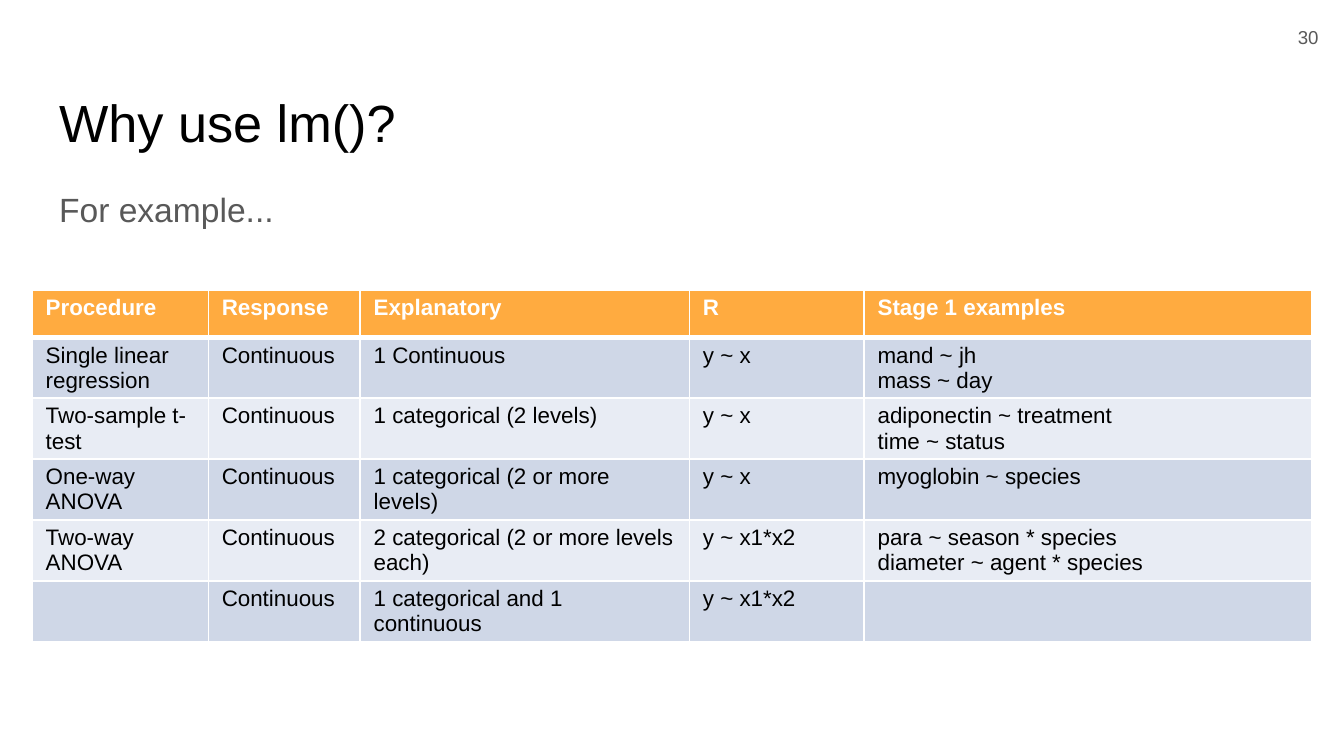
from pptx import Presentation, util as u
from pptx.dml.color import RGBColor
from pptx.enum import text
from pptx.oxml import parse_xml
from pptx.oxml.ns import nsdecls

BLACK = RGBColor(0x00, 0x00, 0x00)
WHITE = RGBColor(0xFF, 0xFF, 0xFF)
GRAY = RGBColor(0x59, 0x59, 0x59)
GOLD = RGBColor(0xFF, 0xAB, 0x40)
BLUE = RGBColor(0xCF, 0xD7, 0xE7)
PALE = RGBColor(0xE8, 0xEC, 0xF4)

WIDE = u.Inches(10)
HIGH = WIDE * 9 // 16
WIDTHS = [1.31, 1.13, 2.45, 1.3, 3.33]
HIGHS = [0.35] * 2 + [0.41] * 4
ROWS = [
    ["Procedure", "Response", "Explanatory", "R", "Stage 1 examples"],
    ["Single linear regression", "Continuous", "1 Continuous", "y ~ x",
     "mand ~ jh\nmass ~ day"],
    ["Two-sample t-test", "Continuous", "1 categorical (2 levels)", "y ~ x",
     "adiponectin ~ treatment\ntime ~ status"],
    ["One-way ANOVA", "Continuous", "1 categorical (2 or more levels)",
     "y ~ x", "myoglobin ~ species"],
    ["Two-way ANOVA", "Continuous", "2 categorical (2 or more levels each)",
     "y ~ x1*x2", "para ~ season * species\ndiameter ~ agent * species"],
    ["", "Continuous", "1 categorical and 1 continuous", "y ~ x1*x2", ""],
]


def apply(item, form):
    for key, val in form.items():
        setattr(item, key, val)


def style(frame, size, color, bold=False, **form):
    for para in frame.paragraphs:
        apply(para, form)
        for run in para.runs:
            apply(run.font, {"name": "Arial", "size": u.Pt(size), "bold": bold})
            run.font.color.rgb = color


def place(shape, box, words, anchor=text.MSO_ANCHOR.TOP):
    sides = ("left", "top", "width", "height")
    apply(shape, {k: u.Inches(v) for k, v in zip(sides, box)})
    frame = shape.text_frame
    frame.text = words
    pad = u.Inches(0.1)
    apply(frame, {
        "margin_left": pad, "margin_top": pad,
        "margin_right": pad, "margin_bottom": pad,
        "word_wrap": True, "auto_size": text.MSO_AUTO_SIZE.NONE,
        "vertical_anchor": anchor,
    })
    return frame


def add_title(slide, box):
    frame = place(slide.shapes.title, box, "Why use lm()?")
    style(frame, 28, BLACK, alignment=text.PP_ALIGN.LEFT)


def add_lead(slide, box):
    frame = place(slide.placeholders[1], box, "For example...")
    style(frame, 18, GRAY, line_spacing=1.15, space_before=u.Pt(0),
          space_after=u.Pt(16))
    props = frame.paragraphs[0]._p.get_or_add_pPr()
    props.set("marL", "0")
    props.set("indent", "0")
    props.append(parse_xml(f"<a:buNone {nsdecls('a')}/>"))


def add_number(slide, box):
    shape = slide.shapes.add_textbox(0, 0, 0, 0)
    frame = place(shape, box, "30", text.MSO_ANCHOR.MIDDLE)
    style(frame, 10, GRAY, alignment=text.PP_ALIGN.RIGHT)


def add_edges(cell, row):
    wide = {"T": 3 if row == 1 else 1, "B": 3 if row == 0 else 1}
    props = cell._tc.get_or_add_tcPr()
    for i, side in enumerate("LRTB"):
        props.insert(i, parse_xml(
            f'<a:ln{side} {nsdecls("a")} w="{u.Pt(wide.get(side, 1))}">'
            f'<a:solidFill><a:srgbClr val="{WHITE}"/></a:solidFill>'
            f'</a:ln{side}>'))


def add_grid(slide, left, top):
    box = [u.Inches(v) for v in (left, top, sum(WIDTHS), sum(HIGHS))]
    grid = slide.shapes.add_table(len(ROWS), len(WIDTHS), *box).table
    for col, width in zip(grid.columns, WIDTHS):
        col.width = u.Inches(width)
    for r, (high, words) in enumerate(zip(HIGHS, ROWS)):
        grid.rows[r].height = u.Inches(high)
        head = r == 0
        tint = GOLD if head else BLUE if r % 2 else PALE
        for c, word in enumerate(words):
            cell = grid.cell(r, c)
            apply(cell, {
                "text": word,
                "margin_left": u.Inches(0.1), "margin_right": u.Inches(0.1),
                "margin_top": u.Inches(0.04), "margin_bottom": u.Inches(0.04),
            })
            cell.fill.solid()
            cell.fill.fore_color.rgb = tint
            style(cell.text_frame, 12, WHITE if head else BLACK, head)
            add_edges(cell, r)


def main():
    deck = Presentation()
    apply(deck, {"slide_width": WIDE, "slide_height": HIGH})
    slide = deck.slides.add_slide(deck.slide_layouts[1])
    add_title(slide, (0.34, 0.57, 9.32, 0.63))
    add_lead(slide, (0.34, 1.26, 9.32, 0.63))
    add_number(slide, (9.31, 0.06, 0.6, 0.43))
    add_grid(slide, 0.24, 2.16)
    deck.save("out.pptx")


if __name__ == "__main__":
    main()
